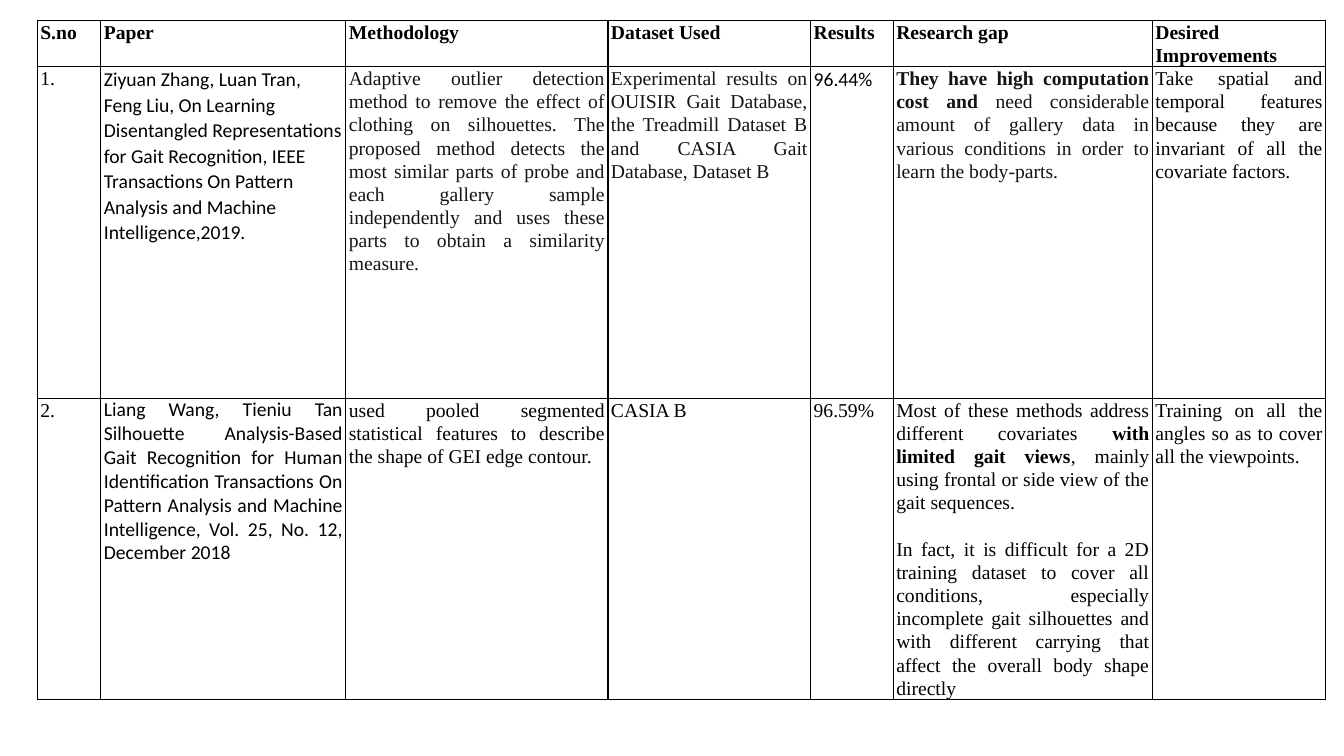
"""Build a literature review table slide on gait recognition papers."""
from lxml import etree
from pptx import Presentation
from pptx import util as u
from pptx.dml.color import RGBColor
from pptx.enum import text
from pptx.oxml import ns

BLACK = RGBColor(0x00, 0x00, 0x00)
INK = RGBColor(0x13, 0x14, 0x13)
SERIF, SANS = "Times New Roman", "Calibri"
LEFT, JUSTIFY = text.PP_ALIGN.LEFT, text.PP_ALIGN.JUSTIFY

COLUMN_WIDTHS = [0.63, 2.43, 2.6, 2.01, 0.82, 2.57, 1.72]
ROW_HEIGHTS = [0.18, 3.29, 2.07]
HEADINGS = ["S.no", "Paper", "Methodology", "Dataset Used", "Results",
            "Research gap", "Desired Improvements"]


def entry(*paragraphs, font=SERIF, color=BLACK, align=JUSTIFY, spacing=1.07):
    """Describe a cell: each paragraph is a list of (words, bold) runs."""
    return {"paragraphs": paragraphs, "font": font, "color": color,
            "align": align, "spacing": spacing}


def plain(words, **style):
    """Describe a cell holding one regular run."""
    return entry([(words, False)], **style)


FIRST_PAPER = [
    plain("1."),
    plain("Ziyuan Zhang, Luan Tran, Feng Liu, On Learning Disentangled "
          "Representations for Gait Recognition, IEEE Transactions On Pattern "
          "Analysis and Machine Intelligence,2019.", font=SANS, align=LEFT),
    plain("Adaptive outlier detection method to remove the effect of clothing on "
          "silhouettes. The proposed method detects the most similar parts of probe "
          "and each gallery sample independently and uses these parts to obtain a "
          "similarity measure.", color=INK),
    plain("Experimental results on OUISIR Gait Database, the Treadmill Dataset B "
          "and CASIA Gait Database, Dataset B", color=INK),
    plain("96.44%", font=SANS),
    entry([("They have high computation cost and ", True),
           ("need considerable amount of gallery data in various conditions in "
            "order to learn the body-parts.", False)], color=INK),
    plain("Take spatial and temporal features because they are invariant of all "
          "the covariate factors."),
]

SECOND_PAPER = [
    plain("2."),
    plain("Liang Wang, Tieniu Tan Silhouette Analysis-Based Gait Recognition for "
          "Human Identification Transactions On Pattern Analysis and Machine "
          "Intelligence, Vol. 25, No. 12, December 2018", font=SANS, spacing=1.0),
    plain("used pooled segmented statistical features to describe the shape of "
          "GEI edge contour."),
    plain("CASIA B"),
    plain("96.59%"),
    entry([("Most of these methods address different covariates ", False),
           ("with limited gait views", True),
           (", mainly using frontal or side view of the gait sequences.", False)],
          [("In fact, it is difficult for a 2D training dataset to cover all "
            "conditions, especially incomplete gait silhouettes and with different "
            "carrying that affect the overall body shape directly", False)]),
    plain("Training on all the angles so as to cover all the viewpoints."),
]


def draw_borders(cell):
    """Outline a cell with thin black lines."""
    properties = cell._tc.get_or_add_tcPr()
    for side in ("a:lnL", "a:lnR", "a:lnT", "a:lnB"):
        line = etree.SubElement(properties, ns.qn(side), w=str(u.Pt(1)))
        fill = etree.SubElement(line, ns.qn("a:solidFill"))
        etree.SubElement(fill, ns.qn("a:srgbClr"), val=str(BLACK))


def fill_cell(cell, content):
    """Format a cell and write its paragraphs run by run."""
    cell.margin_left = cell.margin_right = u.Inches(0.03)
    cell.margin_top = cell.margin_bottom = u.Inches(0)
    draw_borders(cell)
    cell.fill.background()
    frame = cell.text_frame
    for index, runs in enumerate(content["paragraphs"]):
        paragraph = frame.add_paragraph() if index else frame.paragraphs[0]
        paragraph.alignment = content["align"]
        paragraph.line_spacing = content["spacing"]
        if index:
            paragraph.space_before = u.Pt(16.6)
        for words, bold in runs:
            run = paragraph.add_run()
            run.text = words
            run.font.name = content["font"]
            run.font.size = u.Pt(14)
            run.font.bold = bold
            run.font.color.rgb = content["color"]


def add_review_table(slide, rows):
    """Add the review table and fill it row by row."""
    table = slide.shapes.add_table(
        len(rows), len(COLUMN_WIDTHS), u.Inches(0.37), u.Inches(0.2),
        u.Inches(sum(COLUMN_WIDTHS)), u.Inches(sum(ROW_HEIGHTS))).table
    table.horz_banding = False
    for column, width in zip(table.columns, COLUMN_WIDTHS):
        column.width = u.Inches(width)
    for row, height, contents in zip(table.rows, ROW_HEIGHTS, rows):
        row.height = u.Inches(height)
        for cell, content in zip(row.cells, contents):
            fill_cell(cell, content)


def main():
    """Create the presentation and save it."""
    presentation = Presentation()
    presentation.slide_width = u.Inches(13.33)
    presentation.slide_height = u.Inches(7.5)
    slide = presentation.slides.add_slide(presentation.slide_layouts[6])
    header = [entry([(heading, True)]) for heading in HEADINGS]
    add_review_table(slide, [header, FIRST_PAPER, SECOND_PAPER])
    presentation.save("out.pptx")


if __name__ == "__main__":
    main()
